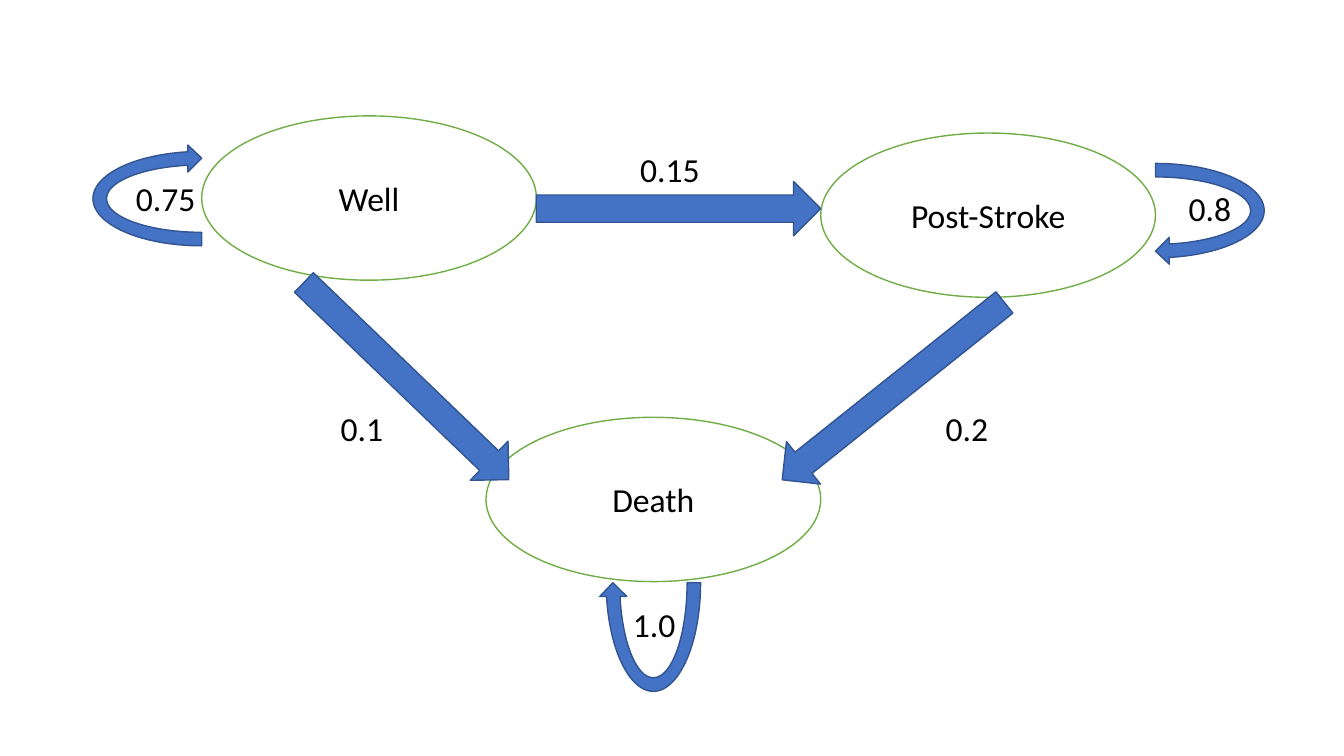
"""Draw a three-state stroke model with its transition probabilities."""
import pptx
import pptx.dml.color
import pptx.enum.shapes
import pptx.enum.text
import pptx.oxml.ns
import pptx.util
import lxml.etree
from dataclasses import dataclass

Inches, Pt = pptx.util.Inches, pptx.util.Pt
Kind = pptx.enum.shapes.MSO_SHAPE


@dataclass(frozen=True)
class Theme:
    """Hold the colours, font and sizes."""
    white: str = "FFFFFF"
    green: str = "70AD47"
    blue: str = "4472C4"
    navy: str = "325491"
    ink: str = "000000"
    font: str = "Calibri"
    size: int = 24
    edge: float = 1
    thin: float = 0.75


THEME = Theme()
OVAL = (3.32, 1.63)
ARROW = (2.82, 0.54)
LOOP = (1.07, 2.29)
STATES = [("Well", 2, 1.15), ("Post-Stroke", 8.14, 1.32), ("Death", 4.82, 4.14)]
LINK = ((5.32, 1.97), (8.14, 2.07))
MOVES = [(6.73, 2.07, 0), (8.86, 3.88, 141.4), (4.03, 3.78, 43.9)]
STAYS = [(2, 1.97, 270), (11.46, 2.09, 90), (6.48, 5.78, 180)]
ODDS = [
    ("0.75", 1.25, 1.72, 0.95, True),
    ("0.8", 11.69, 1.82, 0.63, False),
    ("1.0", 6.18, 5.94, 0.63, False),
    ("0.15", 6.25, 1.43, 0.8, False),
    ("0.1", 3.28, 4, 0.97, True),
    ("0.2", 9.28, 4, 0.63, False),
]


def tint(code):
    """Turn a hex code into a colour."""
    return pptx.dml.color.RGBColor.from_string(code)


def write(frame, text, align):
    """Set one styled paragraph."""
    para = frame.paragraphs[0]
    para.text = text
    para.alignment = align
    para.font.name = THEME.font
    para.font.size = Pt(THEME.size)
    para.font.color.rgb = tint(THEME.ink)


def draw(slide, kind, x, y, size, fill, line):
    """Add a flat shape by its top left corner."""
    shape = slide.shapes.add_shape(kind, *map(Inches, (x, y, *size)))
    shape.shadow.inherit = False
    shape.fill.solid()
    shape.fill.fore_color.rgb = tint(fill)
    shape.line.color.rgb = tint(line)
    shape.line.width = Pt(THEME.edge)
    return shape


def turn(slide, kind, spots, size):
    """Add blue arrows by centre and angle."""
    for x, y, angle in spots:
        left, top = x - size[0] / 2, y - size[1] / 2
        shape = draw(slide, kind, left, top, size, THEME.blue, THEME.navy)
        shape.rotation = angle


def join(slide, start, end):
    """Add a thin line with an arrowhead."""
    straight = pptx.enum.shapes.MSO_CONNECTOR.STRAIGHT
    link = slide.shapes.add_connector(straight, *map(Inches, (*start, *end)))
    link.line.color.rgb = tint(THEME.blue)
    link.line.width = Pt(THEME.thin)
    name = pptx.oxml.ns.qn
    tail = lxml.etree.SubElement(link.line._get_or_add_ln(), name("a:tailEnd"))
    tail.set("type", "arrow")
    lxml.etree.SubElement(link._element.spPr, name("a:effectLst"))


def main():
    """Build and save the slide."""
    deck = pptx.Presentation()
    deck.slide_width, deck.slide_height = Inches(13.33), Inches(7.5)
    slide = deck.slides.add_slide(deck.slide_layouts[6])
    align = pptx.enum.text.PP_ALIGN
    for name, x, y in STATES:
        oval = draw(slide, Kind.OVAL, x, y, OVAL, THEME.white, THEME.green)
        oval.text_frame.vertical_anchor = pptx.enum.text.MSO_ANCHOR.MIDDLE
        write(oval.text_frame, name, align.CENTER)
    join(slide, *LINK)
    turn(slide, Kind.RIGHT_ARROW, MOVES, ARROW)
    turn(slide, Kind.CIRCULAR_ARROW, STAYS, LOOP)
    for text, x, y, width, wrap in ODDS:
        box = slide.shapes.add_textbox(*map(Inches, (x, y, width, 0.5)))
        box.text_frame.word_wrap = wrap
        box.text_frame.auto_size = pptx.enum.text.MSO_AUTO_SIZE.SHAPE_TO_FIT_TEXT
        write(box.text_frame, text, align.LEFT)
    deck.save("out.pptx")


if __name__ == "__main__":
    main()
